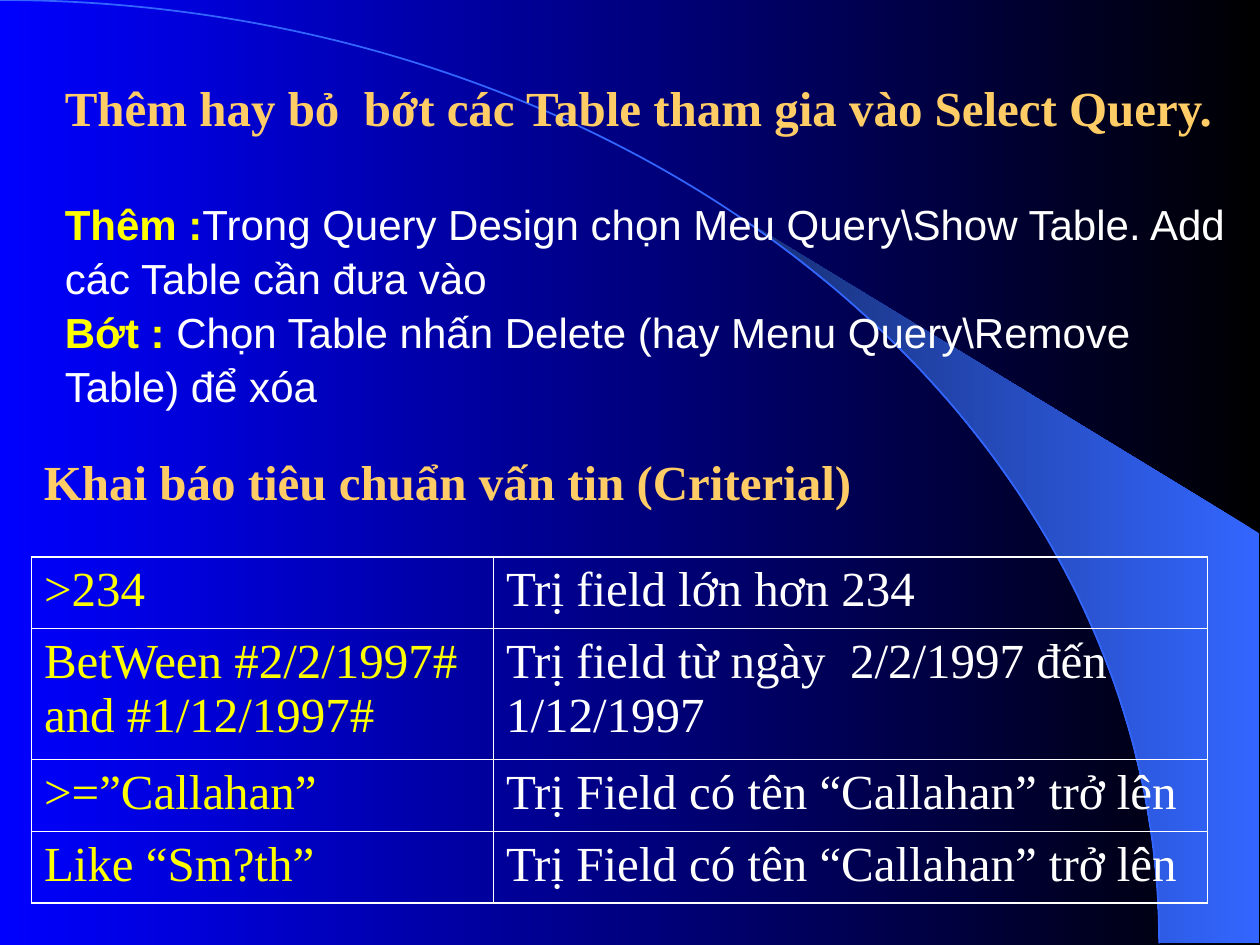
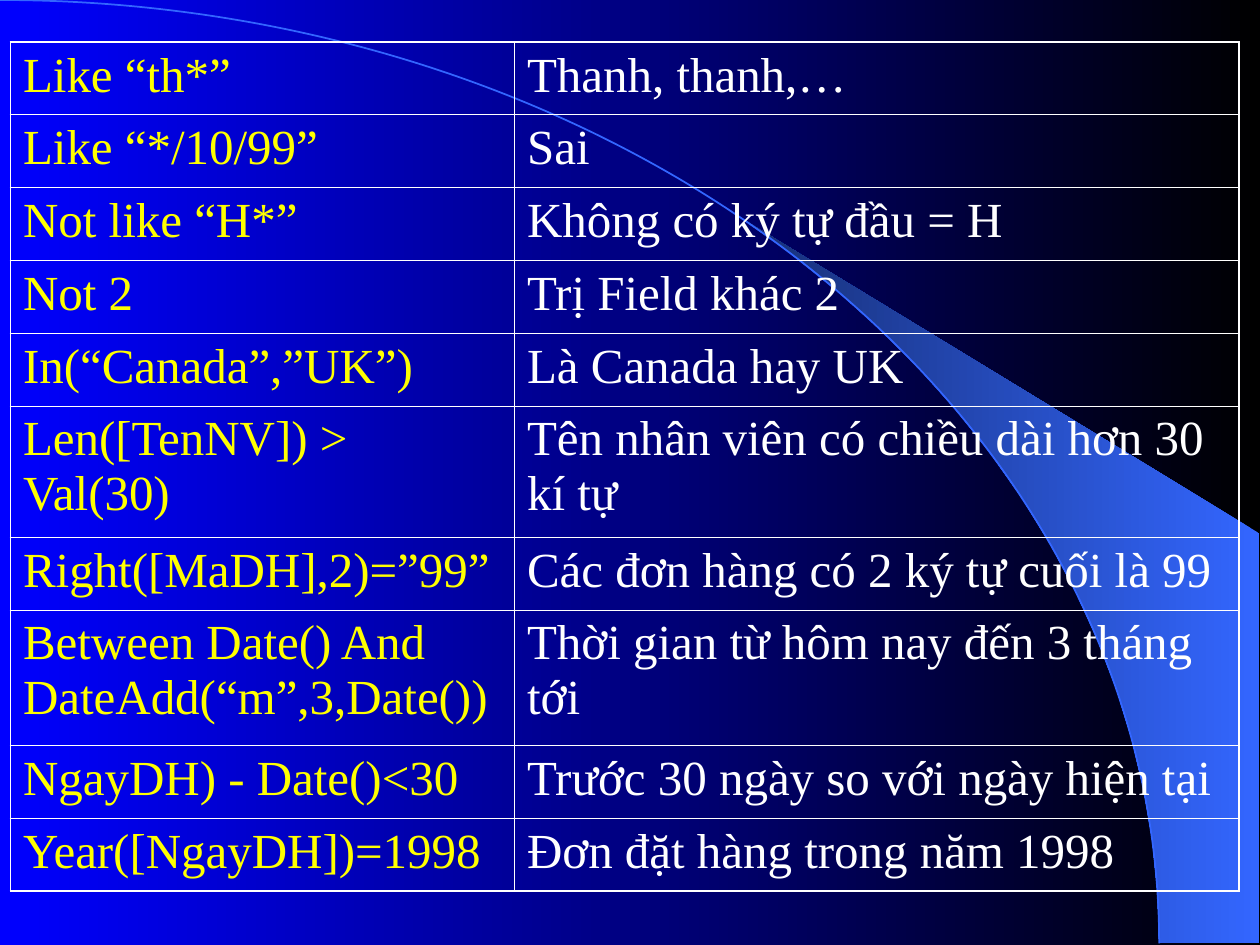
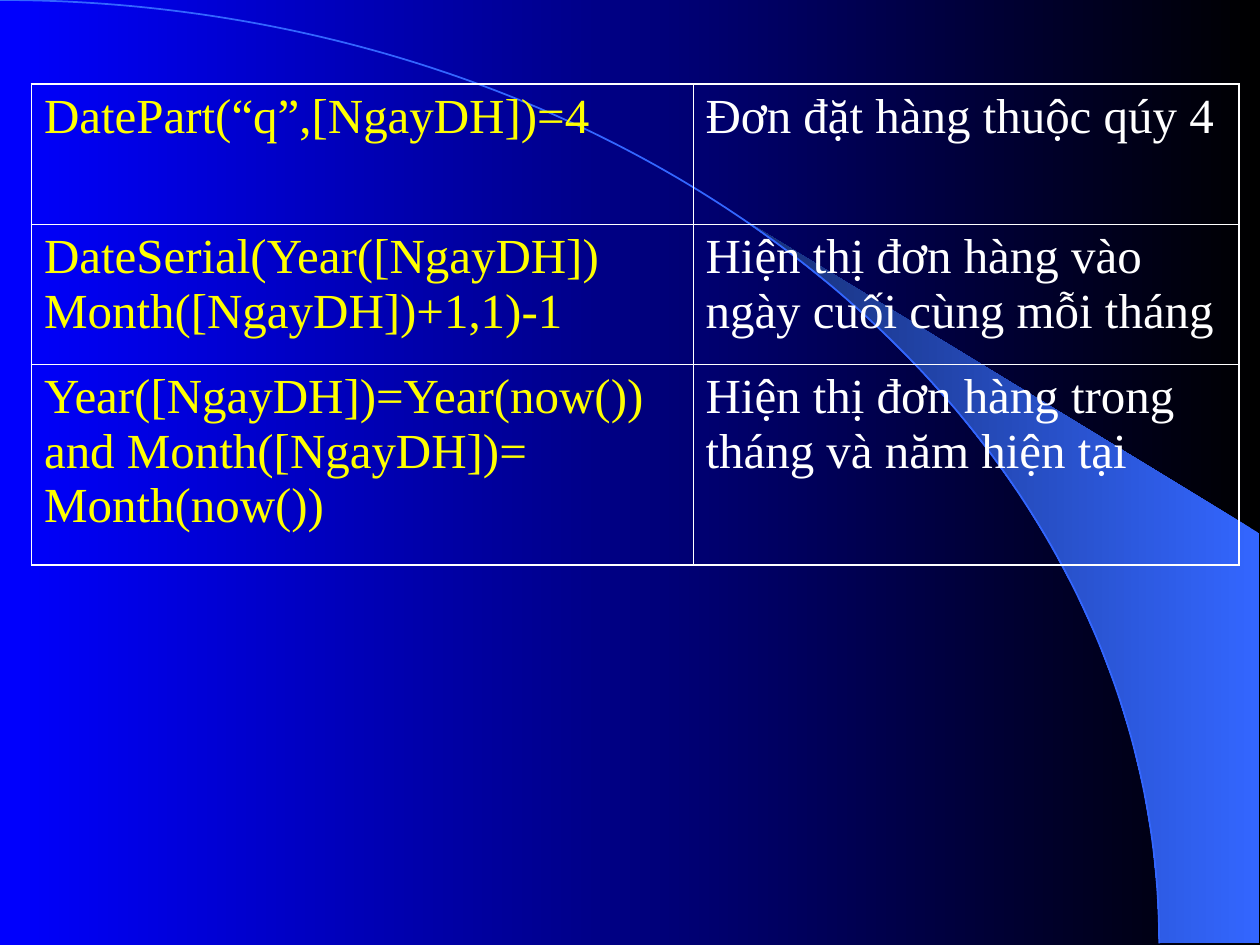
from dataclasses import dataclass
from math import asin, cos, pi, sin

from lxml import etree
from pptx import Presentation
from pptx.dml.color import RGBColor
from pptx.enum.shapes import MSO_SHAPE
from pptx.enum.text import MSO_AUTO_SIZE
from pptx.oxml.ns import qn
from pptx.util import Pt

ARC = MSO_SHAPE.ARC
GROW = MSO_AUTO_SIZE.SHAPE_TO_FIT_TEXT

BLACK = RGBColor(0x00, 0x00, 0x00)
BLUE = RGBColor(0x00, 0x00, 0xFF)
SKY = RGBColor(0x33, 0x66, 0xFF)
NAVY = RGBColor(0x17, 0x2F, 0x75)
GOLD = RGBColor(0xFF, 0xCC, 0x66)
YELLOW = RGBColor(0xFF, 0xFF, 0x00)
WHITE = RGBColor(0xFF, 0xFF, 0xFF)

SLIDE_WIDTH, SLIDE_HEIGHT = 720, 540
ARC_WIDTH, ARC_HEIGHT = 662.4, 539
BEAM_START, BEAM_RIGHT, BEAM_TOP = 424, 719.3, 304.6
BEAM_STEPS = 16
OUTER_LINE, INNER_LINE = 1.08, 0.45
TEXT_SPACING = 1.07

HEADING = {"name": "Times New Roman", "size": Pt(28), "bold": True}
BODY = {"name": "Arial", "size": Pt(24), "bold": False}
LABEL = BODY | {"bold": True}
CELL = {"name": "Times New Roman", "size": Pt(28), "bold": False}


@dataclass
class Span:
    text: str
    style: dict
    color: RGBColor


@dataclass
class Para:
    spans: list[Span]
    space_before: float = 0


@dataclass
class TextBlock:
    left: float
    top: float
    width: float
    height: float
    inset: float
    paras: list[Para]


@dataclass
class CriteriaTable:
    left: float
    top: float
    columns: list[float]
    rows: list[tuple[float, str, str]]  # height, criterion, meaning


@dataclass
class PageContent:
    blocks: list[TextBlock]
    table: CriteriaTable


PAGES = [
    PageContent(
        [
            TextBlock(30, 42, 684, 182, 0, [
                Para([Span("Thêm hay bỏ  bớt các Table tham gia vào Select Query.",
                           HEADING, GOLD)]),
                Para([Span("Thêm :", LABEL, YELLOW),
                      Span("Trong Query Design chọn Meu Query\\Show Table. "
                           "Add các Table cần đưa vào", BODY, WHITE)], 33.5),
                Para([Span("Bớt : ", LABEL, YELLOW),
                      Span("Chọn Table nhấn Delete (hay Menu Query\\Remove Table) để xóa",
                           BODY, WHITE)]),
            ]),
            TextBlock(18, 252, 516, 41, 3.6, [
                Para([Span("Khai báo tiêu chuẩn vấn tin (Criterial)", HEADING, GOLD)]),
            ]),
        ],
        CriteriaTable(18, 318.2, [264, 408], [
            (41, ">234", "Trị field lớn hơn 234"),
            (75, "BetWeen #2/2/1997# and #1/12/1997#",
             "Trị field từ ngày  2/2/1997 đến 1/12/1997"),
            (41, ">=”Callahan”", "Trị Field có tên “Callahan” trở lên"),
            (41, "Like “Sm?th”", "Trị Field có tên “Callahan” trở lên"),
        ]),
    ),
    PageContent([], CriteriaTable(6, 24, [288, 414], [
        (41.6, "Like “th*”", "Thanh, thanh,…"),
        (41.6, "Like “*/10/99”", "Sai"),
        (41.6, "Not like “H*”", "Không có ký tự đầu = H"),
        (41.6, "Not 2", "Trị Field khác 2"),
        (41.6, "In(“Canada”,”UK”)", "Là Canada hay UK"),
        (75, "Len([TenNV]) > Val(30)", "Tên nhân viên có chiều dài hơn 30 kí tự"),
        (41.6, "Right([MaDH],2)=”99”", "Các đơn hàng có 2 ký tự cuối là 99"),
        (77.6, "Between Date() And DateAdd(“m”,3,Date())",
         "Thời gian từ hôm nay đến 3 tháng tới"),
        (41.6, "NgayDH) - Date()<30", "Trước 30 ngày so với ngày hiện tại"),
        (41.6, "Year([NgayDH])=1998", "Đơn đặt hàng trong năm 1998"),
    ])),
    PageContent([], CriteriaTable(18, 48, [378, 312], [
        (80, "DatePart(“q”,[NgayDH])=4", "Đơn đặt hàng thuộc qúy 4"),
        (80, "DateSerial(Year([NgayDH]) Month([NgayDH])+1,1)-1",
         "Hiện thị đơn hàng vào ngày cuối cùng mỗi tháng"),
        (115, "Year([NgayDH])=Year(now()) and Month([NgayDH])= Month(now())",
         "Hiện thị đơn hàng trong tháng và năm hiện tại"),
    ])),
]


def fill_gradient(fill, right: RGBColor, left: RGBColor) -> None:
    fill.gradient()
    fill.gradient_angle = 180
    for stop, color in zip(fill.gradient_stops, (right, left)):
        stop.color.rgb = color


def draw_backdrop(page) -> None:
    """Draw the blue fade, the beam along the curve, and the curve itself."""
    fill_gradient(page.background.fill, BLACK, BLUE)

    first = asin(BEAM_START / ARC_WIDTH)
    angles = [first + (pi / 2 - first) * step / BEAM_STEPS
              for step in range(BEAM_STEPS + 1)]
    edge = [(ARC_WIDTH * sin(angle), ARC_HEIGHT * (1 - cos(angle))) for angle in angles]
    outline = edge + [(BEAM_RIGHT, ARC_HEIGHT), (BEAM_RIGHT, BEAM_TOP)]
    start, *others = [(Pt(x), Pt(y)) for x, y in outline]
    builder = page.shapes.build_freeform(*start)
    builder.add_line_segments(others)
    beam = builder.convert_to_shape()
    beam.shadow.inherit = False
    beam.line.fill.background()
    fill_gradient(beam.fill, SKY, NAVY)

    curve = page.shapes.add_shape(ARC, Pt(-ARC_WIDTH), Pt(0),
                                  Pt(2 * ARC_WIDTH), Pt(2 * ARC_HEIGHT))
    curve.shadow.inherit = False
    curve.fill.background()
    curve.line.color.rgb = SKY
    curve.line.width = Pt(1)


def add_span(para, span: Span) -> None:
    run = para.add_run()
    run.text = span.text
    for name, value in span.style.items():
        setattr(run.font, name, value)
    run.font.color.rgb = span.color


def draw_text(page, block: TextBlock) -> None:
    box = page.shapes.add_textbox(Pt(block.left), Pt(block.top),
                                  Pt(block.width), Pt(block.height))
    frame = box.text_frame
    layout = {"word_wrap": True, "auto_size": GROW,
              "margin_top": Pt(block.inset), "margin_bottom": Pt(block.inset)}
    for name, value in layout.items():
        setattr(frame, name, value)
    for index, content in enumerate(block.paras):
        para = frame.add_paragraph() if index else frame.paragraphs[0]
        para.line_spacing = TEXT_SPACING
        if content.space_before:
            para.space_before = Pt(content.space_before)
        for span in content.spans:
            add_span(para, span)


def set_borders(cell, widths: dict[str, float]) -> None:
    """Set white cell borders; the sides come in the order L, R, T, B."""
    properties = cell._tc.get_or_add_tcPr()
    for index, (side, width) in enumerate(widths.items()):
        line = etree.Element(qn(f"a:ln{side}"), w=str(Pt(width)))
        solid = etree.SubElement(line, qn("a:solidFill"))
        etree.SubElement(solid, qn("a:srgbClr"), val=str(WHITE))
        properties.insert(index, line)


def draw_table(page, content: CriteriaTable) -> None:
    row_count, column_count = len(content.rows), len(content.columns)
    height = sum(row[0] for row in content.rows)
    table = page.shapes.add_table(row_count, column_count, Pt(content.left), Pt(content.top),
                                  Pt(sum(content.columns)), Pt(height)).table
    table.first_row = table.horz_banding = False
    for column, width in zip(table.columns, content.columns):
        column.width = Pt(width)
    for row_index, (row_height, *texts) in enumerate(content.rows):
        table.rows[row_index].height = Pt(row_height)
        for column_index, (text, color) in enumerate(zip(texts, (YELLOW, WHITE))):
            cell = table.cell(row_index, column_index)
            cell.fill.background()
            outer_sides = {
                "L": column_index == 0,
                "R": column_index == column_count - 1,
                "T": row_index == 0,
                "B": row_index == row_count - 1,
            }
            set_borders(cell, {side: OUTER_LINE if outer else INNER_LINE
                               for side, outer in outer_sides.items()})
            add_span(cell.text_frame.paragraphs[0], Span(text, CELL, color))


def main() -> None:
    deck = Presentation()
    deck.slide_width, deck.slide_height = Pt(SLIDE_WIDTH), Pt(SLIDE_HEIGHT)
    blank = deck.slide_layouts[6]
    for content in PAGES:
        page = deck.slides.add_slide(blank)
        draw_backdrop(page)
        for block in content.blocks:
            draw_text(page, block)
        draw_table(page, content.table)
    deck.save("out.pptx")


if __name__ == "__main__":
    main()
